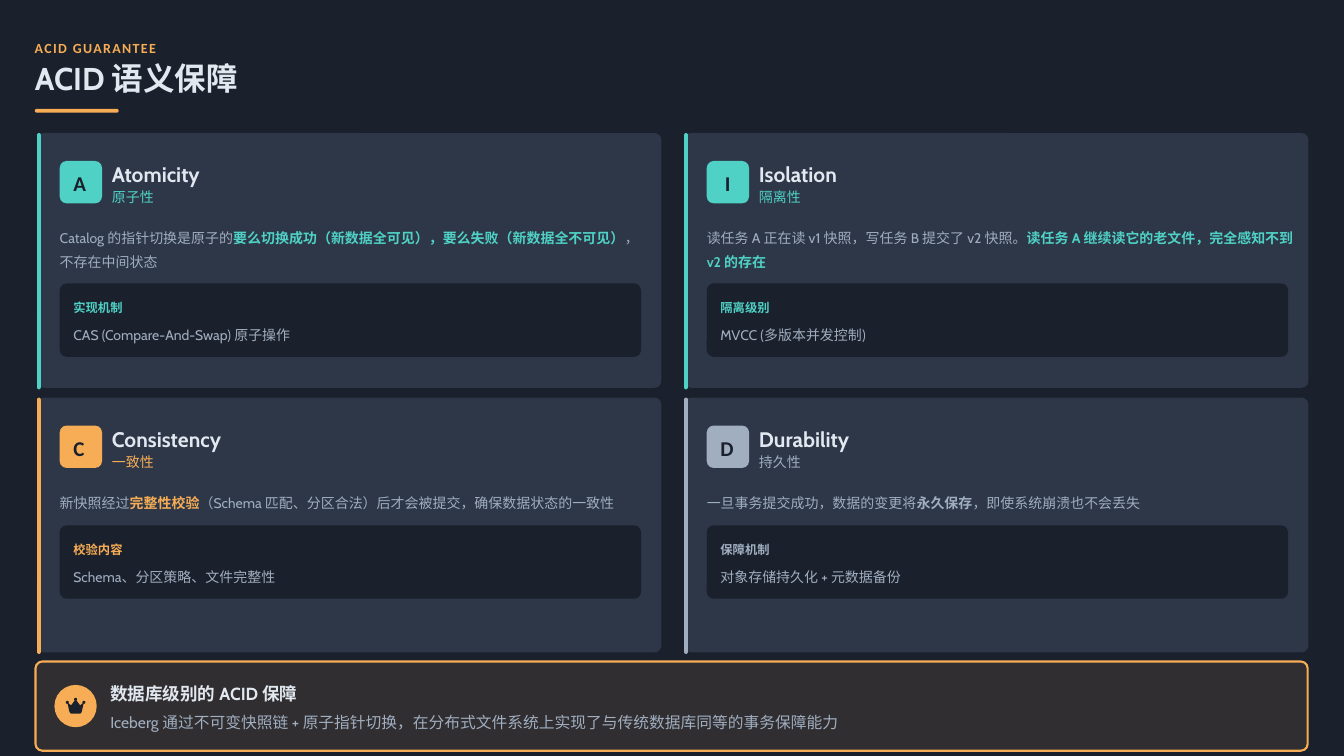
"""Build the slide on ACID guarantees."""
import dataclasses
import lxml.etree
import pptx
import pptx.dml.color
import pptx.enum.shapes
import pptx.enum.text
import pptx.oxml.ns
import pptx.util

SHAPE = pptx.enum.shapes.MSO_SHAPE


@dataclasses.dataclass(frozen=True)
class Theme:
    """Colours, fonts and type sizes of the slide."""
    night: str = "1A202C"
    card: str = "2D3748"
    light: str = "E2E8F0"
    muted: str = "A0AEC0"
    teal: str = "4FD1C5"
    amber: str = "F6AD55"
    body_font: str = "Cabin"
    label_font: str = "Calibri"
    title: float = 30
    heading: float = 20
    banner: float = 16.7
    summary: float = 15
    body: float = 13.3
    caption: float = 11.7


@dataclasses.dataclass(frozen=True)
class Grid:
    """Slide size and the two-by-two grid of cards, in inches."""
    width: float = 17.78
    height: float = 10
    margin: float = 0.46
    left: float = 0.49
    top: float = 1.76
    column: float = 8.56
    row: float = 3.5
    card_width: float = 8.26
    card_height: float = 3.37
    pad: float = 0.3
    badge: float = 0.56
    radius: float = 0.09
    line: float = 0.3

    def cell(self, column, row):
        """Return the top left corner of a card."""
        return self.left + column * self.column, self.top + row * self.row


@dataclasses.dataclass(frozen=True)
class Guarantee:
    """Content of one card; marked descriptions are highlighted."""
    column: int
    row: int
    name: str
    translation: str
    color: str
    description: tuple
    lines: int
    label: str
    mechanism: str
    letter_inset: float = 0.18


THEME = Theme()
GRID = Grid()

GUARANTEES = (
    Guarantee(0, 0, "Atomicity", "原子性", THEME.teal,
              (("Catalog 的指针切换是原子的", False),
               ("要么切换成功（新数据全可见），要么失败（新数据全不可见）", True),
               ("，不存在中间状态", False)), 2,
              "实现机制", "CAS (Compare-And-Swap) 原子操作"),
    Guarantee(0, 1, "Consistency", "一致性", THEME.amber,
              (("新快照经过", False), ("完整性校验", True),
               ("（Schema 匹配、分区合法）后才会被提交，确保数据状态的一致性", False)), 1,
              "校验内容", "Schema、分区策略、文件完整性"),
    Guarantee(1, 0, "Isolation", "隔离性", THEME.teal,
              (("读任务 A 正在读 v1 快照，写任务 B 提交了 v2 快照。", False),
               ("读任务 A 继续读它的老文件，完全感知不到 v2 的存在", True)), 2,
              "隔离级别", "MVCC (多版本并发控制)", 0.24),
    Guarantee(1, 1, "Durability", "持久性", THEME.muted,
              (("一旦事务提交成功，数据的变更将", False), ("永久保存", True),
               ("，即使系统崩溃也不会丢失", False)), 1,
              "保障机制", "对象存储持久化 + 元数据备份"),
)


def inches(*lengths):
    """Convert lengths to slide units."""
    return [pptx.util.Inches(length) for length in lengths]


def rgb(color):
    """Return a colour object for a hex string."""
    return pptx.dml.color.RGBColor.from_string(color)


def run(text, size, color, bold=False, font=THEME.body_font, tracking=0):
    """Describe one run of text."""
    return text, size, color, bold, font, tracking


def write(frame, paragraphs, spacing):
    """Fill a text frame run by run."""
    frame.word_wrap = True
    frame.auto_size = pptx.enum.text.MSO_AUTO_SIZE.NONE
    frame.vertical_anchor = pptx.enum.text.MSO_ANCHOR.MIDDLE
    frame.margin_left = frame.margin_right = frame.margin_top = frame.margin_bottom = 0
    for index, runs in enumerate(paragraphs):
        paragraph = frame.add_paragraph() if index else frame.paragraphs[0]
        paragraph.alignment = pptx.enum.text.PP_ALIGN.LEFT
        paragraph.line_spacing = spacing
        for text, size, color, bold, font, tracking in runs:
            piece = paragraph.add_run()
            piece.text = text
            piece.font.size = pptx.util.Pt(size)
            piece.font.color.rgb = rgb(color)
            piece.font.bold = bold
            piece.font.name = font
            if tracking:
                piece.font._element.set("spc", str(int(tracking * 100)))


def add_text(slide, box, paragraphs, spacing):
    """Add a text box."""
    write(slide.shapes.add_textbox(*inches(*box)).text_frame, paragraphs, spacing)


def paint(shape, color):
    """Give a shape a flat fill without line or shadow."""
    shape.shadow.inherit = False
    shape.fill.solid()
    shape.fill.fore_color.rgb = rgb(color)
    shape.line.fill.background()
    return shape


def add_rounded(slide, box, color, radius=GRID.radius):
    """Add a rounded rectangle with a corner radius in inches."""
    shape = slide.shapes.add_shape(SHAPE.ROUNDED_RECTANGLE, *inches(*box))
    shape.adjustments[0] = min(0.5, radius / min(box[2:]))
    return paint(shape, color)


def add_disc(slide, x, y, diameter, color):
    """Add a filled circle."""
    paint(slide.shapes.add_shape(SHAPE.OVAL, *inches(x, y, diameter, diameter)), color)


def add_header(slide):
    """Add the overline, title and rule."""
    add_text(slide, (GRID.margin, 0.46, 16.94, 0.28),
             [[run("ACID GUARANTEE", THEME.body, THEME.amber, True, THEME.label_font, 1.3)]], 1.3)
    title = slide.shapes.title
    title.left, title.top, title.width, title.height = inches(GRID.margin, 0.83, 17.06, 0.46)
    write(title.text_frame, [[run("ACID 语义保障", THEME.title, THEME.light, True)]], 0.9)
    add_rounded(slide, (GRID.margin, 1.44, 1.11, 0.05), THEME.amber)


def add_card(slide, item):
    """Add one guarantee card."""
    x, y = GRID.cell(item.column, item.row)
    inner = x + GRID.pad
    add_rounded(slide, (x, y, GRID.card_width, GRID.card_height), THEME.card)
    add_rounded(slide, (x, y, 0.05, GRID.card_height + 0.02), item.color)
    add_rounded(slide, (inner, y + 0.37, GRID.badge, GRID.badge), item.color)
    add_text(slide, (inner + item.letter_inset, y + 0.46, 0.32, 0.37),
             [[run(item.name[0], THEME.heading, THEME.night, True, THEME.label_font)]], 1.1)
    add_text(slide, (inner + 0.69, y + 0.28, 1.68, 0.74),
             [[run(item.name, THEME.heading, THEME.light, True)],
              [run(item.translation, THEME.body, item.color)]], 1.1)
    height = item.lines * GRID.line
    add_text(slide, (inner, y + 1.2, 7.78, height),
             [[run(text, THEME.body, item.color if marked else THEME.muted, marked)
               for text, marked in item.description]], 1.4)
    panel = y + 1.39 + height
    add_rounded(slide, (inner, panel, 7.69, 0.97), THEME.night)
    add_text(slide, (inner + 0.18, panel + 0.19, 7.4, 0.23),
             [[run(item.label, THEME.caption, item.color, True)]], 1.2)
    add_text(slide, (inner + 0.18, panel + 0.51, 7.41, 0.28),
             [[run(item.mechanism, THEME.body, THEME.muted)]], 1.3)


def add_crown(slide, x, y):
    """Add a crown with a bead on each point."""
    points = ((0.02, 0.06), (0.07, 0.1), (0.13, 0.02), (0.19, 0.1),
              (0.24, 0.06), (0.21, 0.19), (0.19, 0.21), (0.07, 0.21), (0.05, 0.19))
    outline = [inches(x + dx, y + dy) for dx, dy in points]
    builder = slide.shapes.build_freeform(*outline[0])
    builder.add_line_segments(outline[1:], close=True)
    paint(builder.convert_to_shape(), THEME.night)
    for dx, dy in ((0, 0.04), (0.11, 0), (0.22, 0.04)):
        add_disc(slide, x + dx, y + dy, 0.04, THEME.night)


def add_banner(slide):
    """Add the outlined summary banner."""
    banner = add_rounded(slide, (0.47, 8.75, 16.83, 1.18), THEME.amber)
    color = banner.fill._xPr.find(".//" + pptx.oxml.ns.qn("a:srgbClr"))
    lxml.etree.SubElement(color, pptx.oxml.ns.qn("a:alpha")).set("val", "10000")
    banner.line.color.rgb = rgb(THEME.amber)
    banner.line.width = pptx.util.Pt(2)
    add_disc(slide, 0.72, 9.06, GRID.badge, THEME.amber)
    add_crown(slide, 0.87, 9.23)
    add_text(slide, (1.46, 8.99, 15.72, 0.32),
             [[run("数据库级别的 ACID 保障", THEME.banner, THEME.light, True)]], 1.2)
    add_text(slide, (1.46, 9.36, 15.71, 0.32),
             [[run("Iceberg 通过不可变快照链 + 原子指针切换，"
                   "在分布式文件系统上实现了与传统数据库同等的事务保障能力",
                   THEME.summary, THEME.muted)]], 1.3)


def main():
    """Build and save the presentation."""
    deck = pptx.Presentation()
    deck.slide_width, deck.slide_height = inches(GRID.width, GRID.height)
    slide = deck.slides.add_slide(deck.slide_layouts[5])
    slide.background.fill.solid()
    slide.background.fill.fore_color.rgb = rgb(THEME.night)
    add_header(slide)
    for item in GUARANTEES:
        add_card(slide, item)
    add_banner(slide)
    deck.save("out.pptx")


if __name__ == "__main__":
    main()
